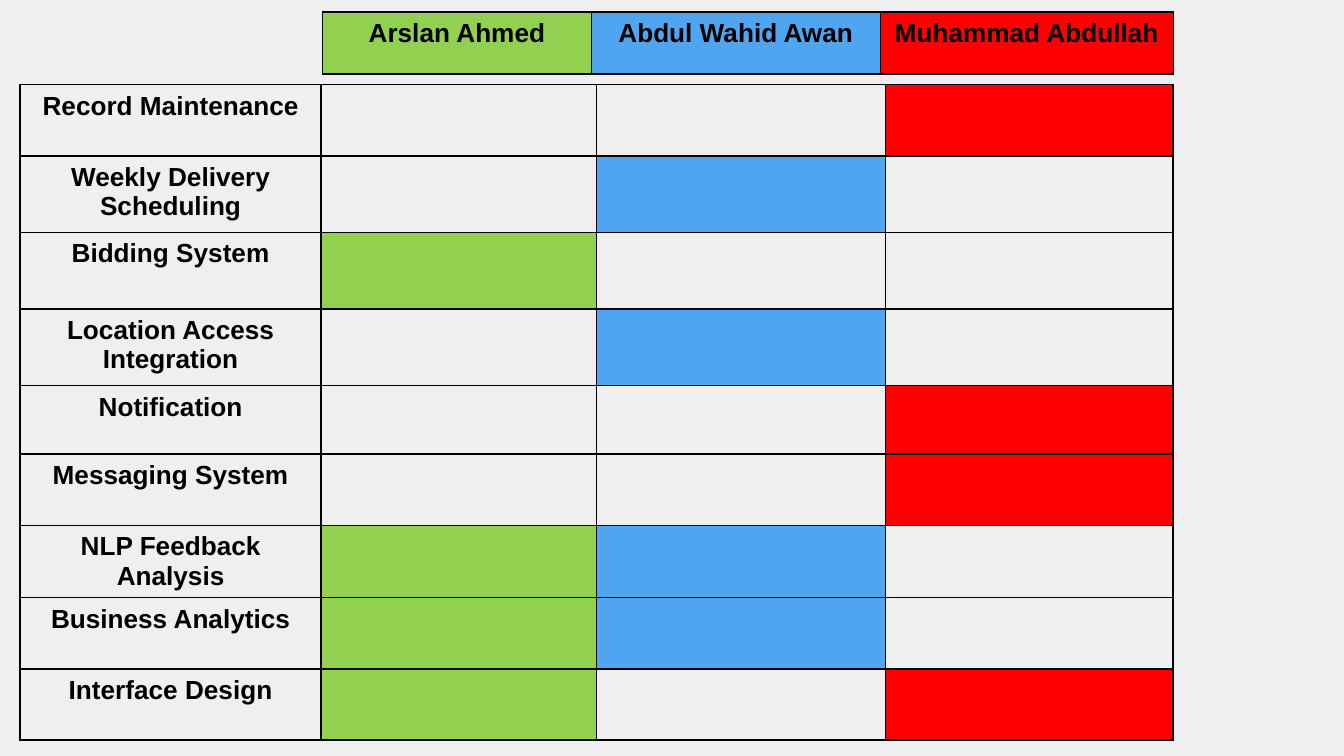
from lxml import etree
from pptx import Presentation
from pptx import util as u
from pptx.dml.color import RGBColor
from pptx.enum import text
from pptx.oxml import ns

COLORS = {
    "page": "EFEFEF",
    "ink": "000000",
    "arslan": "92D050",
    "abdul": "50A5F1",
    "muhammad": "FF0000",
}
MEMBERS = {
    "arslan": "Arslan Ahmed",
    "abdul": "Abdul Wahid Awan",
    "muhammad": "Muhammad Abdullah",
}
TASKS = [
    ("Record Maintenance", 0.53, {"muhammad"}),
    ("Weekly Delivery Scheduling", 0.57, {"abdul"}),
    ("Bidding System", 0.57, {"arslan"}),
    ("Location Access Integration", 0.57, {"abdul"}),
    ("Notification", 0.51, {"muhammad"}),
    ("Messaging System", 0.53, {"muhammad"}),
    ("NLP Feedback Analysis", 0.53, {"arslan", "abdul"}),
    ("Business Analytics", 0.53, {"arslan", "abdul"}),
    ("Interface Design", 0.53, {"arslan", "muhammad"}),
]
LABEL_FORMAT = {"name": "Arial", "size": u.Pt(14), "bold": True}


def rgb(name):
    return RGBColor.from_string(COLORS[name])


def add_borders(cell):
    properties = cell._tc.get_or_add_tcPr()
    for side in ("a:lnL", "a:lnR", "a:lnT", "a:lnB"):
        line = etree.SubElement(properties, ns.qn(side), w=str(u.Pt(1)))
        fill = etree.SubElement(line, ns.qn("a:solidFill"))
        etree.SubElement(fill, ns.qn("a:srgbClr"), val=COLORS["ink"])


def write_label(cell, label):
    para = cell.text_frame.paragraphs[0]
    para.alignment = text.PP_ALIGN.CENTER
    span = para.add_run()
    span.text = label
    for attribute, value in LABEL_FORMAT.items():
        setattr(span.font, attribute, value)
    span.font.color.rgb = rgb("ink")


def style_cell(cell, label, color):
    add_borders(cell)
    if color:
        cell.fill.solid()
        cell.fill.fore_color.rgb = rgb(color)
    else:
        cell.fill.background()
    if label:
        write_label(cell, label)


def add_grid(page, left, top, widths, heights, rows):
    frame = page.shapes.add_table(
        len(heights), len(widths), u.Inches(left), u.Inches(top),
        u.Inches(sum(widths)), u.Inches(sum(heights)))
    table = frame.table
    table.first_row = False
    table.horz_banding = False
    for column, width in zip(table.columns, widths):
        column.width = u.Inches(width)
    for row, height, contents in zip(table.rows, heights, rows):
        row.height = u.Inches(height)
        for cell, (label, color) in zip(row.cells, contents):
            style_cell(cell, label, color)


def main():
    deck = Presentation()
    deck.slide_width = u.Inches(10)
    deck.slide_height = u.Inches(10 * 9 / 16)
    page = deck.slides.add_slide(deck.slide_layouts[6])
    page.background.fill.solid()
    page.background.fill.fore_color.rgb = rgb("page")

    task_rows = [
        [(task, None)] + [("", key if key in owners else None) for key in MEMBERS]
        for task, _, owners in TASKS
    ]
    task_heights = [height for _, height, _ in TASKS]
    add_grid(page, 0.15, 0.63, [2.24, 2.05, 2.15, 2.14], task_heights, task_rows)

    member_row = [(name, key) for key, name in MEMBERS.items()]
    add_grid(page, 2.4, 0.09, [2, 2.15, 2.18], [0.46], [member_row])
    deck.save("out.pptx")


if __name__ == "__main__":
    main()
